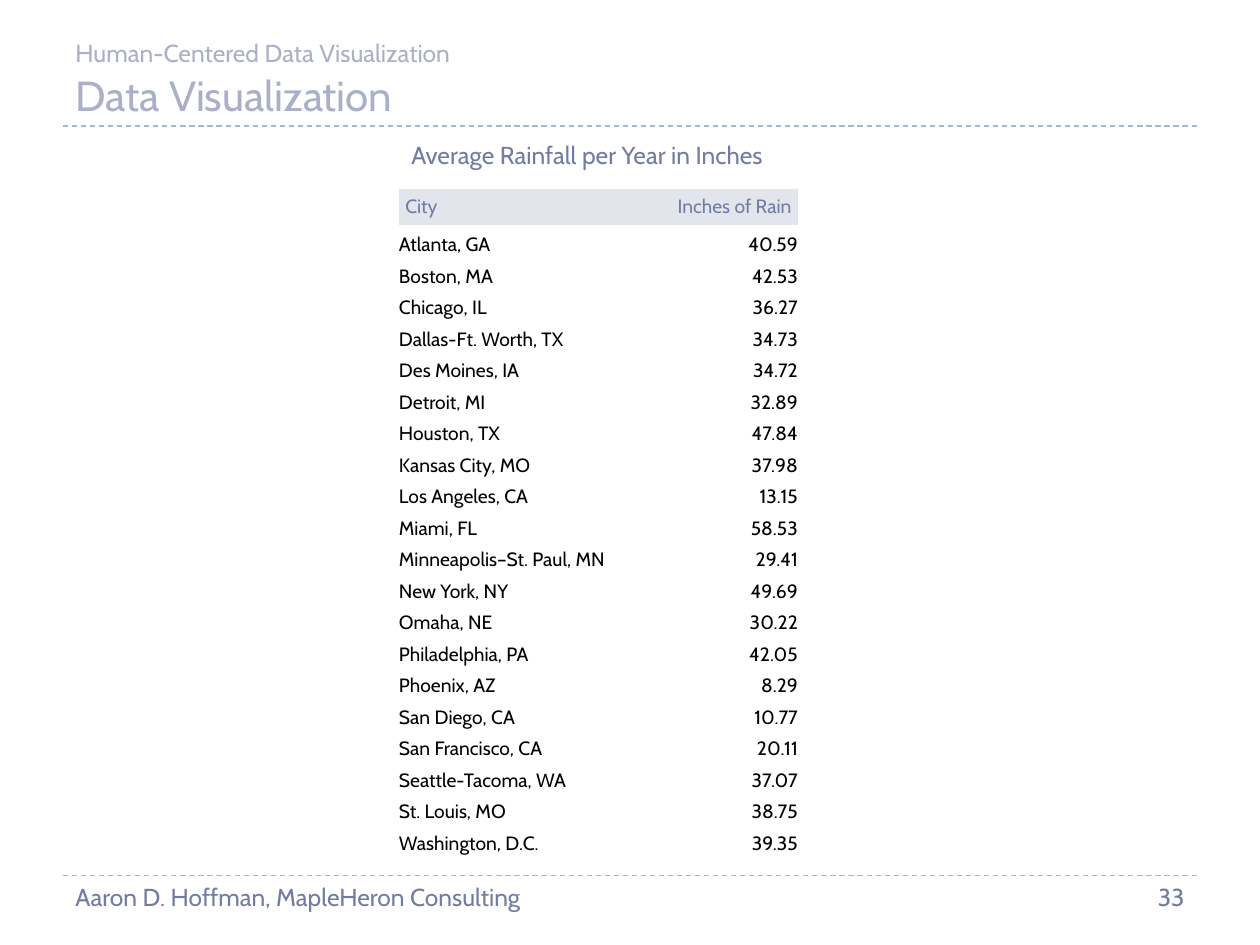
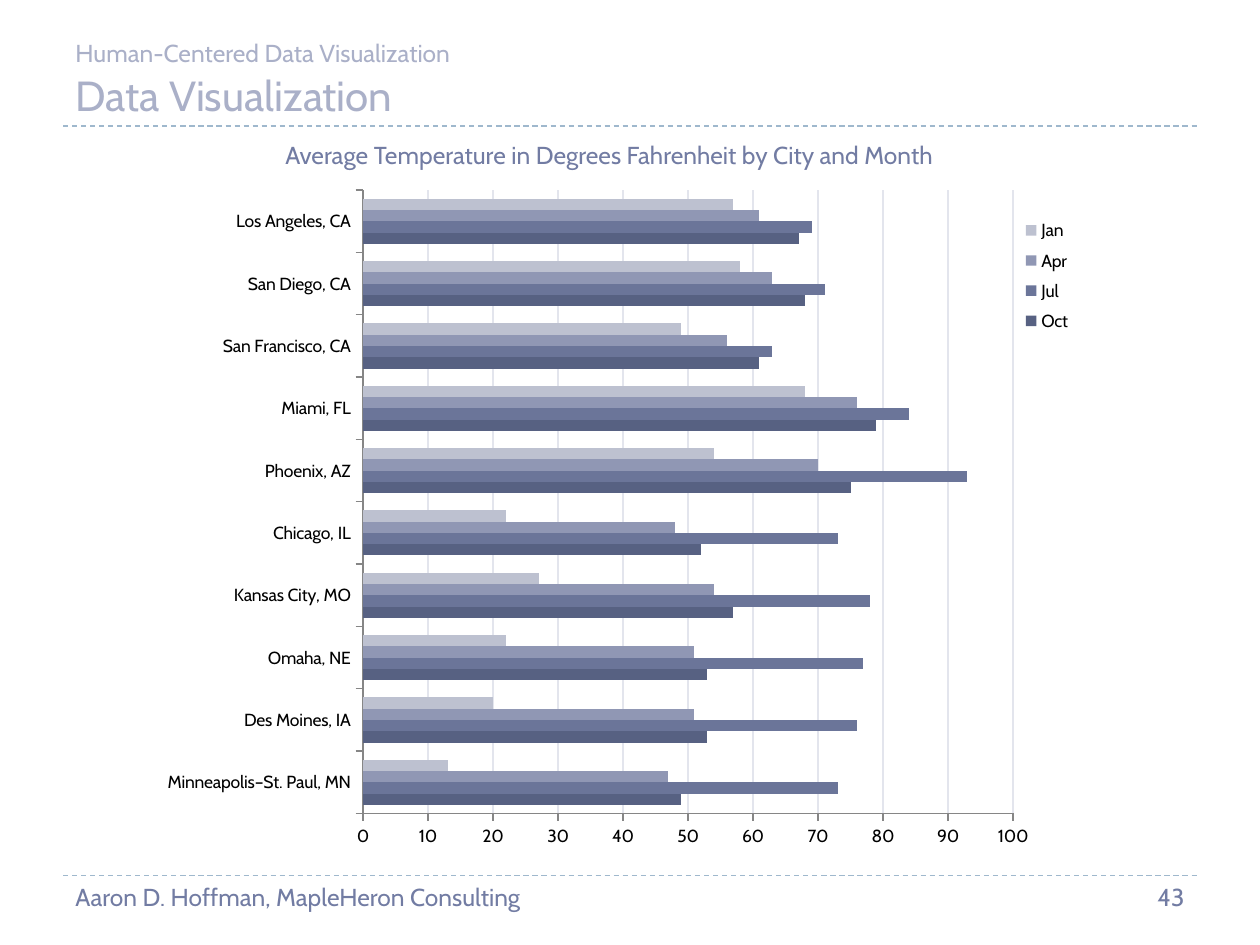
from lxml import etree
from pptx import Presentation
from pptx.chart.data import CategoryChartData
from pptx.dml.color import RGBColor
from pptx.enum.chart import XL_CHART_TYPE, XL_LEGEND_POSITION, XL_TICK_MARK
from pptx.enum.dml import MSO_LINE
from pptx.enum.shapes import MSO_CONNECTOR
from pptx.enum.text import MSO_ANCHOR, PP_ALIGN
from pptx.oxml import parse_xml
from pptx.oxml.ns import nsdecls, qn
from pptx.util import Pt

BAR = XL_CHART_TYPE.BAR_CLUSTERED
SIDE = XL_LEGEND_POSITION.RIGHT
OUT = XL_TICK_MARK.OUTSIDE
DASH = MSO_LINE.DASH
STRAIGHT = MSO_CONNECTOR.STRAIGHT
TOP, BOTTOM = MSO_ANCHOR.TOP, MSO_ANCHOR.BOTTOM
LEFT, RIGHT = PP_ALIGN.LEFT, PP_ALIGN.RIGHT

# Shared content and style
TITLE = "Data Visualization"
TOPIC = "Human-Centered Data Visualization"
AUTHOR = "Aaron D. Hoffman, MapleHeron Consulting"
FONT = "Cabin"
PALE, SLATE, RULE, MIST = "AAB0C8", "727CA3", "9FB8CD", "E3E5ED"
BLACK, GRAY = "000000", "868686"
NO_STYLE = "{2D5ABB26-0587-4C30-8999-92F81FD0307C}"
EDGE, WIDE = 36, 648
RULES = (72, 500.4)

# Rainfall content
RAIN_HEAD = "Average Rainfall per Year in Inches"
RAIN = [
    ("City", "Inches of Rain"),
    ("Atlanta, GA", "40.59"),
    ("Boston, MA", "42.53"),
    ("Chicago, IL", "36.27"),
    ("Dallas-Ft. Worth, TX", "34.73"),
    ("Des Moines, IA", "34.72"),
    ("Detroit, MI", "32.89"),
    ("Houston, TX", "47.84"),
    ("Kansas City, MO", "37.98"),
    ("Los Angeles, CA", "13.15"),
    ("Miami, FL", "58.53"),
    ("Minneapolis–St. Paul, MN", "29.41"),
    ("New York, NY", "49.69"),
    ("Omaha, NE", "30.22"),
    ("Philadelphia, PA", "42.05"),
    ("Phoenix, AZ", "8.29"),
    ("San Diego, CA", "10.77"),
    ("San Francisco, CA", "20.11"),
    ("Seattle-Tacoma, WA", "37.07"),
    ("St. Louis, MO", "38.75"),
    ("Washington, D.C.", "39.35"),
]

# Temperature content
TEMP_HEAD = "Average Temperature in Degrees Fahrenheit by City and Month"
CITIES = ["Minneapolis–St. Paul, MN", "Des Moines, IA", "Omaha, NE",
          "Kansas City, MO", "Chicago, IL", "Phoenix, AZ", "Miami, FL",
          "San Francisco, CA", "San Diego, CA", "Los Angeles, CA"]
MONTHS = [
    ("Oct", "576182", (49, 53, 53, 57, 52, 75, 79, 61, 68, 67)),
    ("Jul", "6B7599", (73, 76, 77, 78, 73, 93, 84, 63, 71, 69)),
    ("Apr", "9097B4", (47, 51, 51, 54, 48, 70, 76, 56, 63, 61)),
    ("Jan", "BDC1D0", (13, 20, 22, 27, 22, 54, 68, 49, 58, 57)),
]


def rgb(code):
    return RGBColor.from_string(code)


def style(font, size, color):
    font.name, font.size = FONT, Pt(size)
    font.color.rgb = rgb(color)


def write(frame, text, size, color, align=LEFT):
    frame.text = text
    para = frame.paragraphs[0]
    para.alignment = align
    style(para.runs[0].font, size, color)


def add_text(slide, box, text, size, color, align=LEFT, anchor=TOP, wrap=True):
    frame = slide.shapes.add_textbox(*map(Pt, box)).text_frame
    frame.word_wrap = wrap
    frame.vertical_anchor = anchor
    write(frame, text, size, color, align)


def add_rule(slide, y):
    rule = slide.shapes.add_connector(
        STRAIGHT, Pt(EDGE), Pt(y), Pt(EDGE + WIDE), Pt(y))
    rule.line.color.rgb = rgb(RULE)
    rule.line.width = Pt(0.75)
    rule.line.dash_style = DASH
    etree.SubElement(rule._element.spPr, qn("a:effectLst"))


def add_slide(deck, number, head, left, width):
    slide = deck.slides.add_slide(deck.slide_layouts[6])
    for y in RULES:
        add_rule(slide, y)
    foot = RULES[1]
    add_text(slide, (EDGE, 36, WIDE, 36), TITLE, 24, PALE, anchor=BOTTOM)
    add_text(slide, (EDGE, 18, WIDE, 18), TOPIC, 14, PALE)
    add_text(slide, (EDGE, foot, 456, 28.8), AUTHOR, 14, SLATE)
    add_text(slide, (630, foot, 54, 28.8), number, 14, SLATE, RIGHT)
    add_text(slide, (left, 76.5, width, 24.5), head, 14, SLATE, wrap=False)
    return slide


def add_rain(slide):
    shape = slide.shapes.add_table(
        len(RAIN), 2, Pt(228), Pt(108), Pt(228), Pt(380.5))
    table = shape.table
    table.first_row = table.horz_banding = False
    table._tbl.tblPr.find(qn("a:tableStyleId")).text = NO_STYLE
    for col, width in zip(table.columns, (132, 96)):
        col.width = Pt(width)
    for r, row in enumerate(RAIN):
        top = r == 0
        table.rows[r].height = Pt(20.5 if top else 18)
        for c, text in enumerate(row):
            cell = table.cell(r, c)
            pad = Pt(3.6 if top else 0)
            cell.margin_left = cell.margin_right = pad
            cell.margin_top = cell.margin_bottom = pad
            cell.vertical_anchor = BOTTOM
            if top:
                cell.fill.solid()
                cell.fill.fore_color.rgb = rgb(MIST)
            else:
                cell.fill.background()
            write(cell.text_frame, text, 11, SLATE if top else BLACK,
                  RIGHT if c else LEFT)


def place(x, y, w, h, inner=False):
    """Build a manual layout from fractions of the chart's size."""
    target = '<c:layoutTarget val="inner"/>' if inner else ""
    modes = '<c:xMode val="edge"/><c:yMode val="edge"/>'
    sizes = "".join(f'<c:{k} val="{v}"/>' for k, v in zip("xywh", (x, y, w, h)))
    return parse_xml(f'<c:layout {nsdecls("c")}><c:manualLayout>{target}'
                     f'{modes}{sizes}</c:manualLayout></c:layout>')


def add_temps(slide):
    data = CategoryChartData()
    data.categories = CITIES
    for name, _, temps in MONTHS:
        data.add_series(name, temps)
    chart = slide.shapes.add_chart(
        BAR, Pt(85.5), Pt(100.8), Pt(554.4), Pt(391.5), data).chart
    chart.has_title = False
    style(chart.font, 10, BLACK)

    # Bars
    plot = chart.plots[0]
    plot.gap_width, plot.overlap = 150, 0
    plot.vary_by_categories = False
    for bars, (_, color, _) in zip(plot.series, MONTHS):
        bars.format.fill.solid()
        bars.format.fill.fore_color.rgb = rgb(color)

    # Axes
    scale = chart.value_axis
    for axis in (chart.category_axis, scale):
        axis.major_tick_mark = OUT
        axis.format.line.color.rgb = rgb(GRAY)
        axis.format.line.width = Pt(0.75)
    scale.minimum_scale, scale.maximum_scale, scale.major_unit = 0, 100, 10
    scale.tick_labels.number_format = "0"
    scale.tick_labels.number_format_is_linked = False
    scale.has_major_gridlines = True
    grid = scale.major_gridlines.format.line
    grid.color.rgb = rgb(MIST)
    grid.width = Pt(0.75)

    # Legend and plot area
    chart.has_legend = True
    legend = chart.legend
    legend.position = SIDE
    legend.include_in_layout = False
    for part in legend._element.findall(qn("c:layout")):
        legend._element.remove(part)
    legend._element.find(qn("c:legendPos")).addnext(
        place(0.89, 0.05, 0.07, 0.19))
    area = chart._chartSpace.chart.plotArea
    for part in area.findall(qn("c:layout")):
        area.remove(part)
    area.insert(0, place(0.22, 0.02, 0.67, 0.91, inner=True))


def main():
    deck = Presentation()
    deck.slide_width, deck.slide_height = Pt(720), Pt(540)
    add_rain(add_slide(deck, "33", RAIN_HEAD, 228, 228))
    add_temps(add_slide(deck, "43", TEMP_HEAD, 156, 407.5))
    deck.save("out.pptx")


if __name__ == "__main__":
    main()
